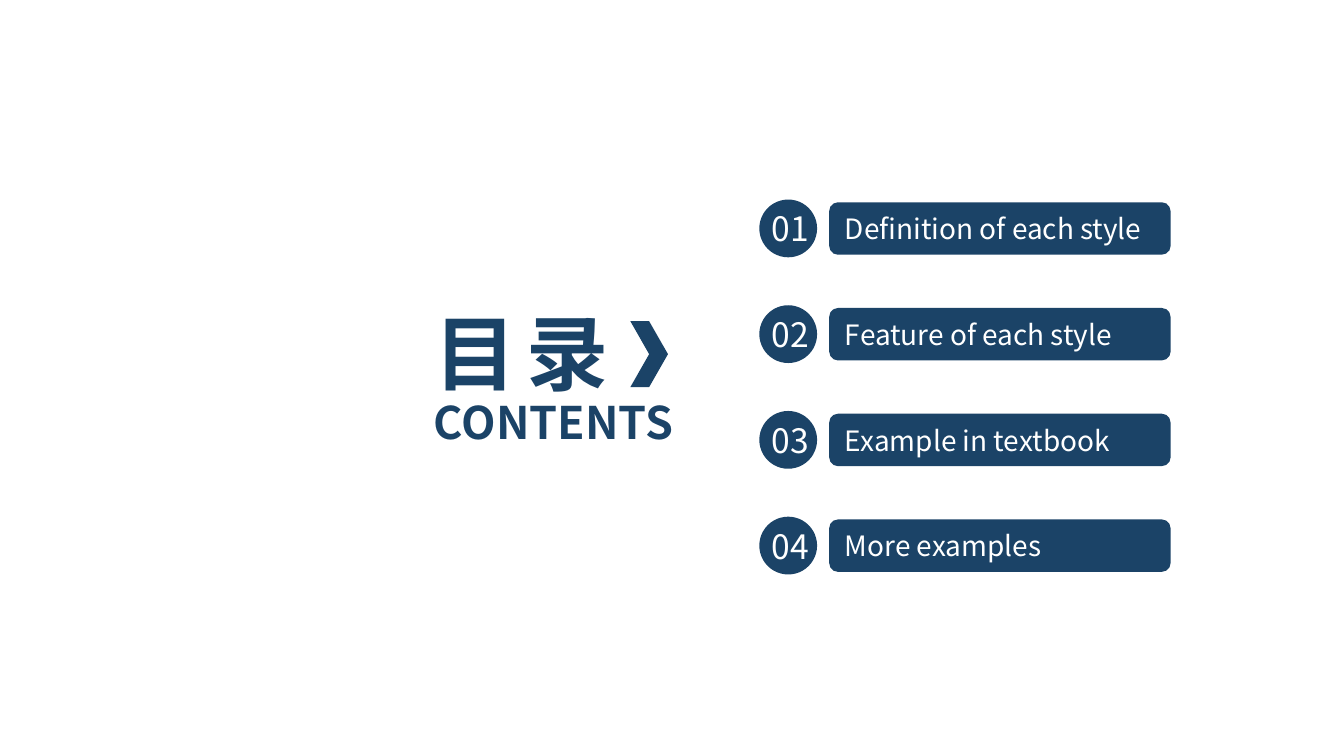
from pptx import Presentation
from pptx.dml.color import RGBColor
from pptx.enum.shapes import MSO_SHAPE
from pptx.enum.text import MSO_ANCHOR, PP_ALIGN
from pptx.util import Inches, Pt

NAVY, WHITE = "1B4367", "FFFFFF"
FONT = "Noto Sans CJK SC"
LEFT, CENTER = PP_ALIGN.LEFT, PP_ALIGN.CENTER
MIDDLE = MSO_ANCHOR.MIDDLE
BAR, DISC, CHEVRON = MSO_SHAPE.ROUNDED_RECTANGLE, MSO_SHAPE.OVAL, MSO_SHAPE.CHEVRON

TITLE, SUBTITLE = "目 录", "CONTENTS"
TOPICS = ["Definition of each style", "Feature of each style",
          "Example in textbook", "More examples"]
SLIDE_WIDTH = 10
SLIDE_HEIGHT = SLIDE_WIDTH * 9 / 16
FIRST_CENTER, LAST_CENTER = 1.7, 4.06
ROW_PITCH = (LAST_CENTER - FIRST_CENTER) / (len(TOPICS) - 1)
BAR_HEIGHT, DISC_SIZE, NUMBER_HEIGHT = 0.39, 0.43, 0.4


def color(value):
    return RGBColor.from_string(value)


def write(shape, text, size, ink, align=LEFT, bold=False, spacing=0):
    frame = shape.text_frame
    frame.word_wrap = True
    frame.vertical_anchor = MIDDLE
    paragraph = frame.paragraphs[0]
    paragraph.alignment = align
    run = paragraph.add_run()
    run.text = text
    run.font.size, run.font.bold, run.font.name = Pt(size), bold, FONT
    run.font.color.rgb = color(ink)
    properties = run._r.get_or_add_rPr()
    if spacing:
        properties.set("spc", str(round(spacing * 100)))
    latin = properties.find("{*}latin")
    east_asian = latin.makeelement(latin.tag.replace("latin", "ea"), {"typeface": FONT})
    latin.addnext(east_asian)


def add_shape(parent, kind, *box):
    shape = parent.shapes.add_shape(kind, *map(Inches, box))
    shape.shadow.inherit = False
    shape.fill.solid()
    shape.fill.fore_color.rgb = color(NAVY)
    shape.line.fill.background()
    return shape


def add_text(parent, box, *args, **kwargs):
    write(parent.shapes.add_textbox(*map(Inches, box)), *args, **kwargs)


def add_topic(slide, index, topic):
    center = FIRST_CENTER + index * ROW_PITCH
    bar = add_shape(slide, BAR, 6.17, center - BAR_HEIGHT / 2, 2.54, BAR_HEIGHT)
    write(bar, topic, 15, WHITE)
    badge = slide.shapes.add_group_shape()
    add_shape(badge, DISC, 5.65, center - DISC_SIZE / 2, DISC_SIZE, DISC_SIZE)
    add_text(badge, (5.62, center - NUMBER_HEIGHT / 2, 0.52, NUMBER_HEIGHT),
             f"{index + 1:02d}", 18, WHITE, CENTER)


def main():
    """Build the contents slide: a heading and four numbered topics."""
    presentation = Presentation()
    presentation.slide_width = Inches(SLIDE_WIDTH)
    presentation.slide_height = Inches(SLIDE_HEIGHT)
    slide = presentation.slides.add_slide(presentation.slide_layouts[5])
    title = slide.shapes.title
    title.left, title.top, title.width, title.height = map(Inches, (3.13, 2.2, 2.35, 0.84))
    write(title, TITLE, 44, NAVY, bold=True, spacing=-2.2)
    add_text(slide, (3.13, 2.89, 2.31, 0.5), SUBTITLE, 24, NAVY, bold=True)
    add_shape(slide, CHEVRON, 4.69, 2.39, 0.28, 0.49)
    for index, topic in enumerate(TOPICS):
        add_topic(slide, index, topic)
    presentation.save("out.pptx")


main()
